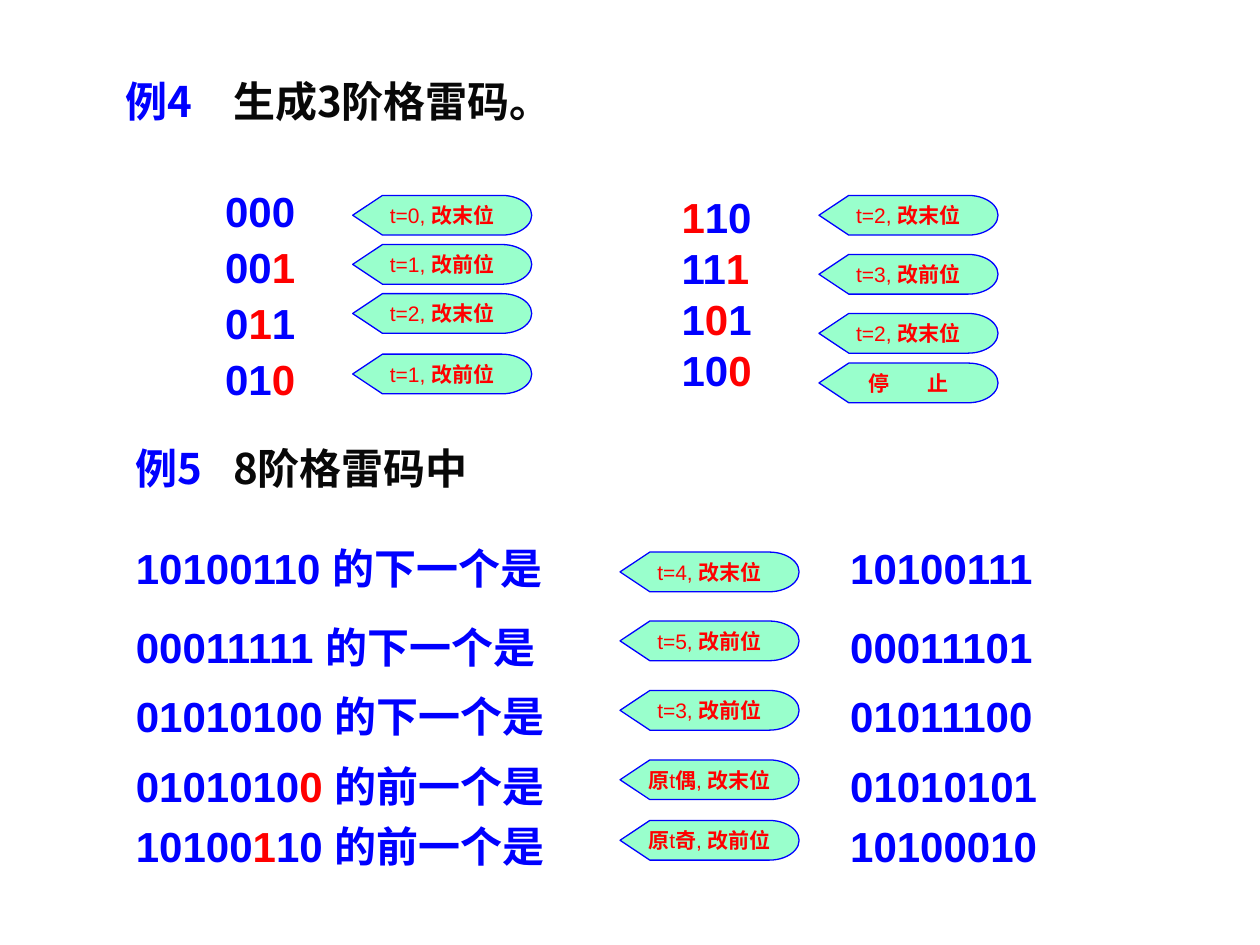
from dataclasses import dataclass

from lxml.etree import SubElement
from pptx import Presentation
from pptx.dml.color import RGBColor
from pptx.enum.shapes import MSO_SHAPE
from pptx.enum.text import MSO_ANCHOR, PP_ALIGN
from pptx.oxml.ns import qn
from pptx.util import Cm, Pt

BLUE, RED, BLACK, MINT = "0000FF", "FF0000", "080808", "99FFCC"
LATIN, CJK = "Arial", "Noto Sans CJK SC"
LAST, PREVIOUS = "改末位", "改前位"


# In all texts, "*" switches emphasis on and off.
@dataclass
class Tag:
    x: float
    y: float
    text: str


@dataclass
class Step:
    y: float
    tag_y: float
    question: str
    tag: str
    answer: str


@dataclass
class Codes:
    x: float
    y: float
    height: float
    spacing: float
    lines: list[str]


@dataclass
class Heading:
    x: float
    y: float
    tab: float
    text: str


HEADINGS = [
    Heading(2.29, 1.52, 2.16, "例4*\t生成3阶格雷码。"),
    Heading(2.49, 8.92, 1.96, "例5*\t8阶格雷码中"),
]
CODES = [
    Codes(4.29, 3.73, 5, 0.9, ["000", "00*1*", "0*1*1", "01*0*"]),
    Codes(13.49, 3.94, 4.39, 0.8, ["*1*10", "11*1*", "1*0*1", "10*0*"]),
]
TAGS = [
    Tag(7.11, 3.94, f"t=0, *{LAST}"),
    Tag(7.11, 4.93, f"t=1, *{PREVIOUS}"),
    Tag(7.11, 5.92, f"t=2, *{LAST}"),
    Tag(7.11, 7.14, f"t=1, *{PREVIOUS}"),
    Tag(16.51, 3.94, f"t=2, *{LAST}"),
    Tag(16.51, 5.13, f"t=3, *{PREVIOUS}"),
    Tag(16.51, 6.32, f"t=2, *{LAST}"),
    Tag(16.51, 7.32, "*停* *止"),
]
STEPS = [
    Step(10.92, 11.13, "10100110 的下一个是", f"t=4, *{LAST}", "10100111"),
    Step(12.52, 12.52, "00011111 的下一个是", f"t=5, *{PREVIOUS}", "00011101"),
    Step(13.92, 13.92, "01010100 的下一个是", f"t=3, *{PREVIOUS}", "01011100"),
    Step(15.32, 15.32, "0101010*0* 的前一个是", f"*原*t*偶*, *{LAST}", "01010101"),
    Step(16.54, 16.54, "10100*1*10 的前一个是", f"*原*t*奇*, *{PREVIOUS}", "10100010"),
]


def rgb(value: str) -> RGBColor:
    return RGBColor.from_string(value)


def set_font(p, size: float, latin: str = LATIN) -> None:
    p.font.size = Pt(size)
    p.font.name = latin
    def_rpr = p._p.get_or_add_pPr().find(qn("a:defRPr"))
    SubElement(def_rpr, qn("a:ea"), typeface=CJK)


def add_runs(p, text: str) -> list[tuple]:
    """Add the pieces of a marked text; return (run, is emphasised) pairs."""
    runs = []
    for i, piece in enumerate(text.split("*")):
        if piece:
            r = p.add_run()
            r.text = piece
            runs.append((r, i % 2 == 1))
    return runs


def add_text(s, x: float, y: float, w: float, h: float, lines: list[str],
             spacing: float = 0.9, accent: str = RED, latin: str = LATIN,
             tab: float = 0) -> None:
    tf = s.shapes.add_textbox(Cm(x), Cm(y), Cm(w), Cm(h)).text_frame
    tf.word_wrap = True
    for i, line in enumerate(lines):
        p = tf.add_paragraph() if i else tf.paragraphs[0]
        p.line_spacing = spacing
        if i:
            p.space_before = Pt(6)
        if tab:
            tabs = SubElement(p._p.get_or_add_pPr(), qn("a:tabLst"))
            SubElement(tabs, qn("a:tab"), pos=str(Cm(tab)), algn="l")
        set_font(p, 24, latin)
        p.font.bold = True
        for r, emphasised in add_runs(p, line):
            r.font.color.rgb = rgb(accent if emphasised else BLUE)


def add_tag(s, tag: Tag) -> None:
    sp = s.shapes.add_shape(MSO_SHAPE.FLOWCHART_DISPLAY,
                            Cm(tag.x), Cm(tag.y), Cm(3.61), Cm(0.8))
    sp.shadow.inherit = False
    sp.fill.solid()
    sp.fill.fore_color.rgb = rgb(MINT)
    sp.line.color.rgb = rgb(BLUE)
    sp.line.width = Pt(0.75)
    tf = sp.text_frame
    tf.word_wrap = False
    tf.vertical_anchor = MSO_ANCHOR.MIDDLE
    p = tf.paragraphs[0]
    p.alignment = PP_ALIGN.CENTER
    set_font(p, 12)
    p.font.color.rgb = rgb(RED)
    for r, emphasised in add_runs(p, tag.text):
        r.font.bold = emphasised
        r.font.color.rgb = rgb(RED)
        if r.text == " ":  # widen a lone space by letter spacing
            r._r.get_or_add_rPr().set("spc", "1900")


def main() -> None:
    prs = Presentation()
    prs.slide_width, prs.slide_height = Cm(25.4), Cm(19.05)
    s = prs.slides.add_slide(prs.slide_layouts[6])

    # Headings of the two examples
    for head in HEADINGS:
        add_text(s, head.x, head.y, 10.39, 1.4, [head.text],
                 accent=BLACK, latin=CJK, tab=head.tab)

    # Example 4: the code of order 3
    for codes in CODES:
        add_text(s, codes.x, codes.y, 3.81, codes.height, codes.lines, codes.spacing)
    for tag in TAGS:
        add_tag(s, tag)

    # Example 5: neighbours in the code of order 8
    for step in STEPS:
        add_text(s, 2.49, step.y, 11.2, 1.19, [step.question])
        add_tag(s, Tag(12.5, step.tag_y, step.tag))
        add_text(s, 16.89, step.y, 6.5, 1.4, [step.answer])

    prs.save("out.pptx")


if __name__ == "__main__":
    main()
